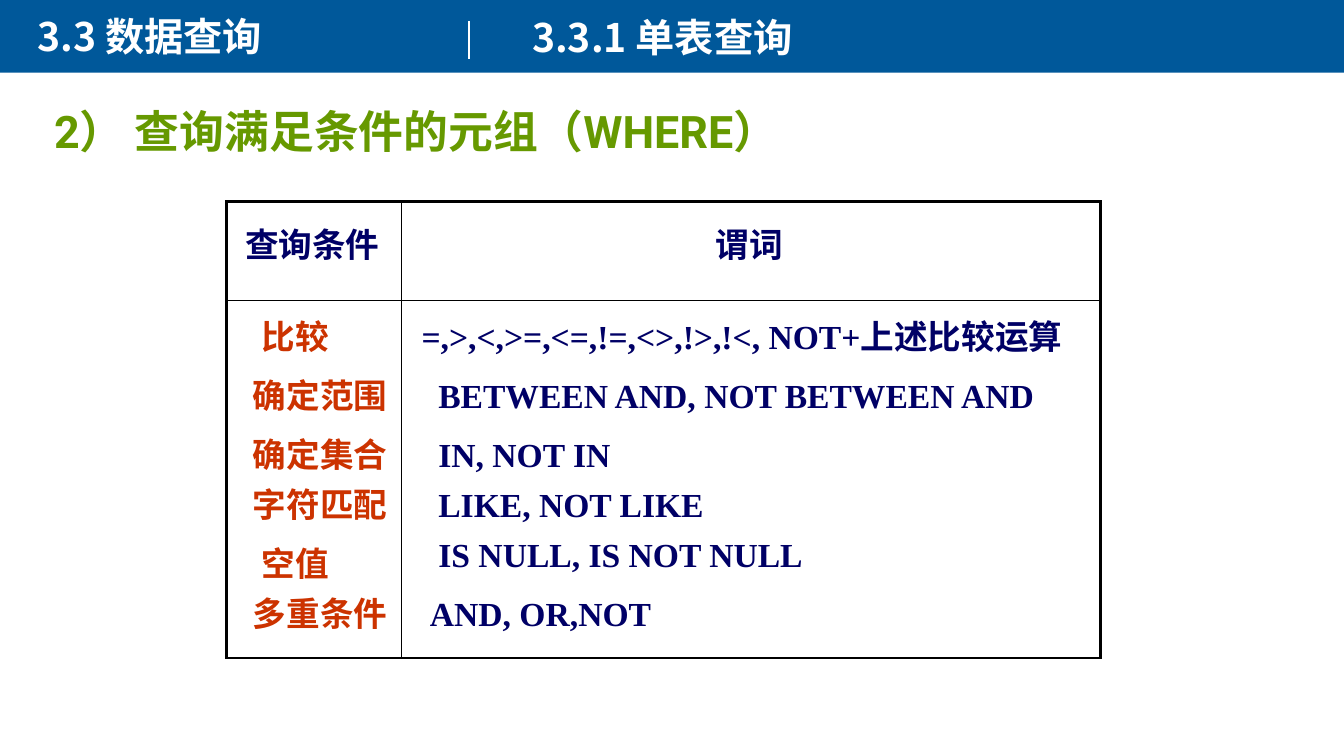
from lxml import etree
from pptx import Presentation
from pptx.dml.color import RGBColor
from pptx.enum.shapes import MSO_CONNECTOR, MSO_SHAPE
from pptx.enum.text import MSO_ANCHOR
from pptx.oxml.ns import qn
from pptx.util import Pt

RECT = MSO_SHAPE.RECTANGLE
STRAIGHT = MSO_CONNECTOR.STRAIGHT
MIDDLE = MSO_ANCHOR.MIDDLE

CJK = "Noto Sans CJK SC"
SERIF = "Times New Roman"
WHITE, BLUE, GREEN = "FFFFFF", "00589A", "669900"
NAVY, RED, BLACK = "000066", "CC3300", "000000"

# Label, its x and y, predicate, its x and y (from the table corner)
CONDITIONS = [
    ("比较", 18, 78, "=,>,<,>=,<=,!=,<>,!>,!<, NOT+上述比较运算", 132, 78),
    ("确定范围", 11.5, 120, "BETWEEN AND, NOT BETWEEN AND", 144, 120),
    ("确定集合", 11.5, 162, "IN, NOT IN", 144, 162),
    ("字符匹配", 11.5, 198, "LIKE, NOT LIKE", 144, 198),
    ("空值", 18, 240, "IS NULL, IS NOT NULL", 144, 234),
    ("多重条件", 11.5, 276, "AND, OR,NOT", 138, 276),
]


def color(hex_value):
    return RGBColor.from_string(hex_value)


def add_text(s, text, x, y, w, h, size, font, hex_value):
    box = s.shapes.add_textbox(Pt(x), Pt(y), Pt(w), Pt(h))
    tf = box.text_frame
    tf.word_wrap = True
    tf.vertical_anchor = MIDDLE
    r = tf.paragraphs[0].add_run()
    r.text = text
    r.font.size = Pt(size)
    r.font.bold = True
    r.font.name = font
    r.font.color.rgb = color(hex_value)
    etree.SubElement(r.font._element, qn("a:ea"), typeface=CJK)


def set_border(cell, side, width):
    tc_pr = cell._tc.get_or_add_tcPr()
    ln = etree.SubElement(tc_pr, qn("a:" + side), w=str(Pt(width)))
    fill = etree.SubElement(ln, qn("a:solidFill"))
    etree.SubElement(fill, qn("a:srgbClr"), val=BLACK)


def add_header(s, x, y, w, h):
    # Band
    band = s.shapes.add_shape(RECT, Pt(x), Pt(y), Pt(w), Pt(h))
    band.shadow.inherit = False
    band.fill.solid()
    band.fill.fore_color.rgb = color(BLUE)
    band.line.fill.background()

    # Chapter and section names
    add_text(s, "3.3 数据查询", x + 19.5, y + 6.5, 398, 41, 28, CJK, WHITE)
    add_text(s, "3.3.1 单表查询", x + 373, y + 7.5, 580, 41, 28, CJK, WHITE)

    # Divider
    divider = s.shapes.add_connector(
        STRAIGHT, Pt(x + 335), Pt(y + 16.5), Pt(x + 335), Pt(y + 44))
    divider.line.color.rgb = color(WHITE)
    divider.line.width = Pt(1.5)
    etree.SubElement(divider._element.spPr, qn("a:effectLst"))


def add_title(s, x, y, w, h):
    add_text(s, "2） 查询满足条件的元组（WHERE）", x, y, w, h, 32, "Roboto", GREEN)


def add_conditions(s, x, y, w, h):
    # Table frame: thick outside, thin inside
    label_w, head_h = 125, 70.5
    table = s.shapes.add_table(2, 2, Pt(x), Pt(y), Pt(w), Pt(h)).table
    table.first_row = table.horz_banding = False
    table.columns[0].width, table.columns[1].width = Pt(label_w), Pt(w - label_w)
    table.rows[0].height, table.rows[1].height = Pt(head_h), Pt(h - head_h)
    for row in range(2):
        for col in range(2):
            cell = table.cell(row, col)
            outer = {"lnL": col == 0, "lnR": col == 1,
                     "lnT": row == 0, "lnB": row == 1}
            for side, thick in outer.items():
                set_border(cell, side, 2.25 if thick else 1)
            cell.fill.background()

    # Column headings
    line_h = 36
    add_text(s, "查询条件", x + 6, y + 12, 121, line_h, 24, SERIF, NAVY)
    add_text(s, "谓词", x + 342, y + 12, 84, line_h, 24, SERIF, NAVY)

    # Conditions and their predicates
    for label, lx, ly, predicate, px, py in CONDITIONS:
        add_text(s, label, x + lx, y + ly, 121, line_h, 24, SERIF, RED)
        add_text(s, predicate, x + px, y + py, w - px, line_h, 24, SERIF, NAVY)


def main():
    prs = Presentation()
    prs.slide_width, prs.slide_height = Pt(960), Pt(540)
    s = prs.slides.add_slide(prs.slide_layouts[6])
    add_header(s, 0, -1.5, 960, 53.5)
    add_title(s, 31.5, 72, 660, 42)
    add_conditions(s, 162, 144, 624, 326)
    prs.save("out.pptx")


if __name__ == "__main__":
    main()
